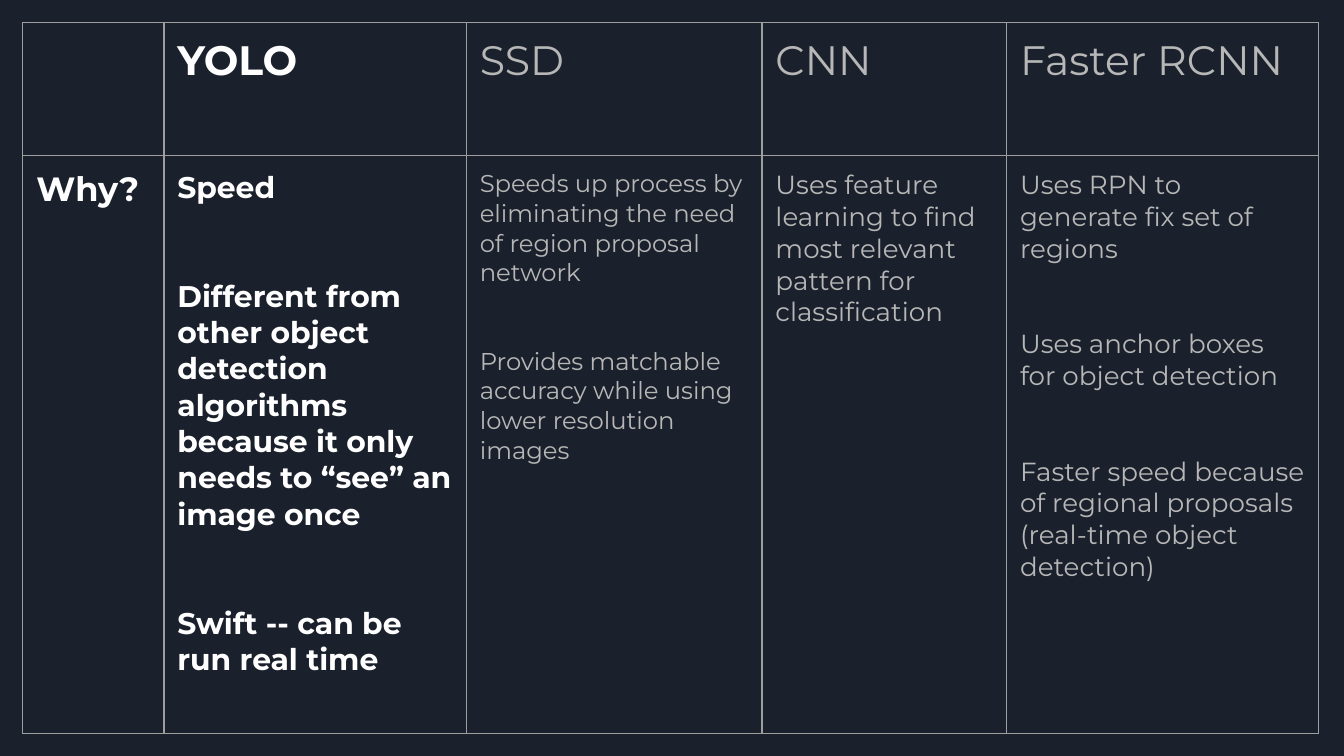
from lxml import etree
from pptx import Presentation
from pptx.dml.color import RGBColor
from pptx.oxml.ns import qn
from pptx.util import Inches, Pt

FONT = "Montserrat"
COLORS = {
    "background": "1B212C",
    "border": "9E9E9E",
    "strong": "FFFFFF",
    "muted": "B7B7B7",
}
BORDER_WIDTH = Pt(0.75)
CELL_MARGIN = Inches(0.1)
PARAGRAPH_GAP = 2.44

COLUMN_WIDTHS = [1.05, 2.25, 2.2, 1.82, 2.32]
ROW_HEIGHTS = [0.99, 4.3]

ROWS = [
    [
        ([], 22, False),
        (["YOLO"], 22, True),
        (["SSD"], 22, False),
        (["CNN"], 22, False),
        (["Faster RCNN"], 22, False),
    ],
    [
        (["Why?"], 18, True),
        (
            [
                "Speed",
                "Different from other object detection algorithms because "
                "it only needs to “see” an image once",
                "Swift -- can be run real time",
            ],
            16,
            True,
        ),
        (
            [
                "Speeds up process by eliminating the need of region proposal network",
                "Provides matchable accuracy while using lower resolution images",
            ],
            13,
            False,
        ),
        (
            ["Uses feature learning to find most relevant pattern for classification"],
            14,
            False,
        ),
        (
            [
                "Uses RPN to generate fix set of regions",
                "Uses anchor boxes for object detection",
                "Faster speed because of regional proposals (real-time object detection)",
            ],
            14,
            False,
        ),
    ],
]


def add_borders(cell):
    properties = cell._tc.get_or_add_tcPr()
    for index, side in enumerate(("lnL", "lnR", "lnT", "lnB")):
        line = etree.Element(qn(f"a:{side}"), w=str(BORDER_WIDTH))
        fill = etree.SubElement(line, qn("a:solidFill"))
        etree.SubElement(fill, qn("a:srgbClr"), val=COLORS["border"])
        properties.insert(index, line)


def fill_cell(cell, texts, size, strong):
    cell.fill.background()
    add_borders(cell)
    cell.margin_left = cell.margin_right = CELL_MARGIN
    cell.margin_top = cell.margin_bottom = CELL_MARGIN
    frame = cell.text_frame
    for index, text in enumerate(texts):
        para = frame.add_paragraph() if index else frame.paragraphs[0]
        para.text = text
        if index:
            para.space_before = Pt(size * PARAGRAPH_GAP)
        font = para.font
        font.name = FONT
        font.size = Pt(size)
        font.bold = strong
        font.color.rgb = RGBColor.from_string(COLORS["strong" if strong else "muted"])


def add_comparison(page, left, top, width, height):
    frame = page.shapes.add_table(
        len(ROWS), len(COLUMN_WIDTHS),
        Inches(left), Inches(top), Inches(width), Inches(height),
    )
    table = frame.table
    table.first_row = False
    table.horz_banding = False
    for column, share in zip(table.columns, COLUMN_WIDTHS):
        column.width = Inches(width * share / sum(COLUMN_WIDTHS))
    for row, share in zip(table.rows, ROW_HEIGHTS):
        row.height = Inches(height * share / sum(ROW_HEIGHTS))
    for row, contents in zip(table.rows, ROWS):
        for cell, content in zip(row.cells, contents):
            fill_cell(cell, *content)


def main():
    deck = Presentation()
    deck.slide_width = Inches(10)
    deck.slide_height = deck.slide_width * 9 // 16
    page = deck.slides.add_slide(deck.slide_layouts[6])
    background = page.background.fill
    background.solid()
    background.fore_color.rgb = RGBColor.from_string(COLORS["background"])
    add_comparison(page, 0.17, 0.17, sum(COLUMN_WIDTHS), sum(ROW_HEIGHTS))
    deck.save("out.pptx")


if __name__ == "__main__":
    main()
